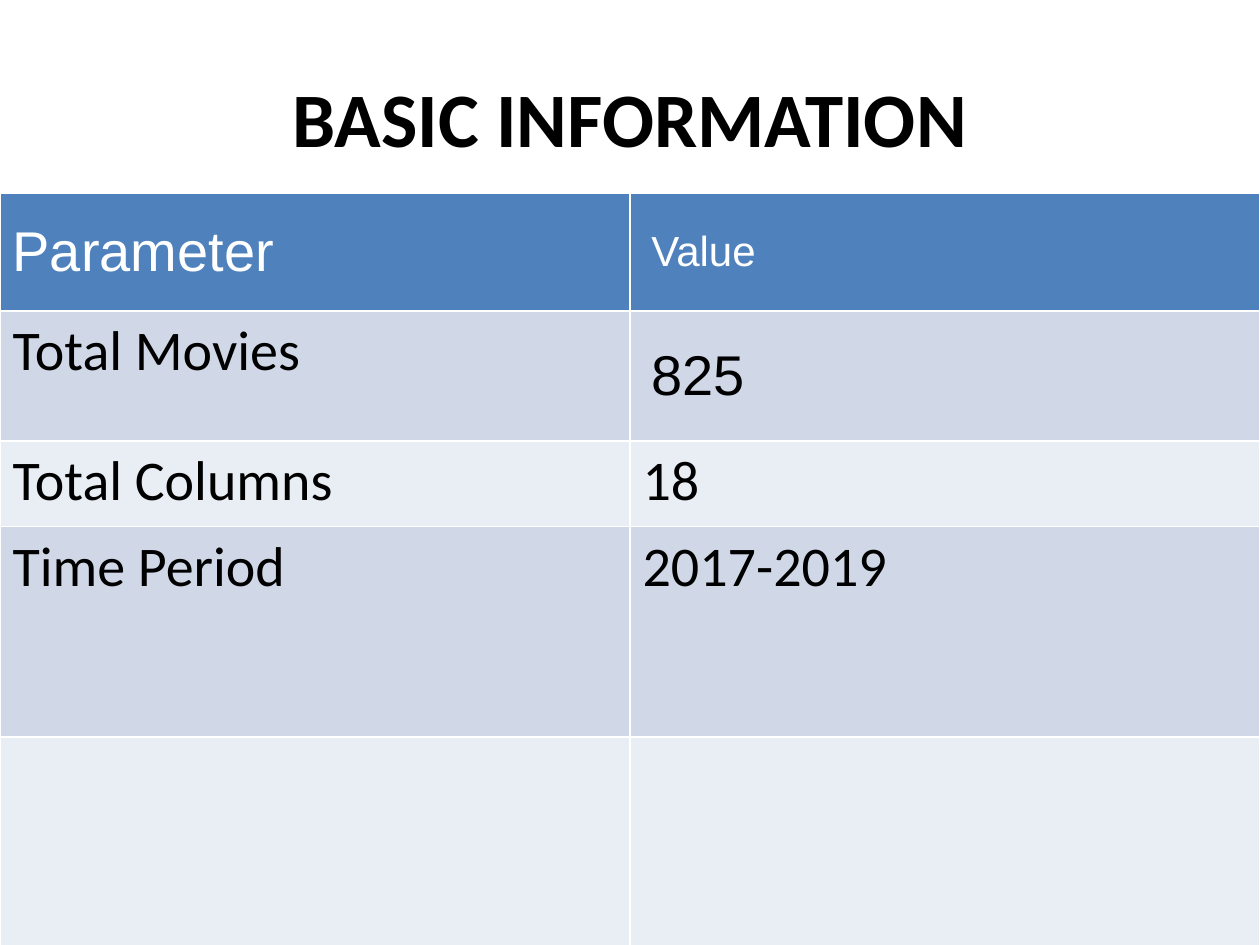
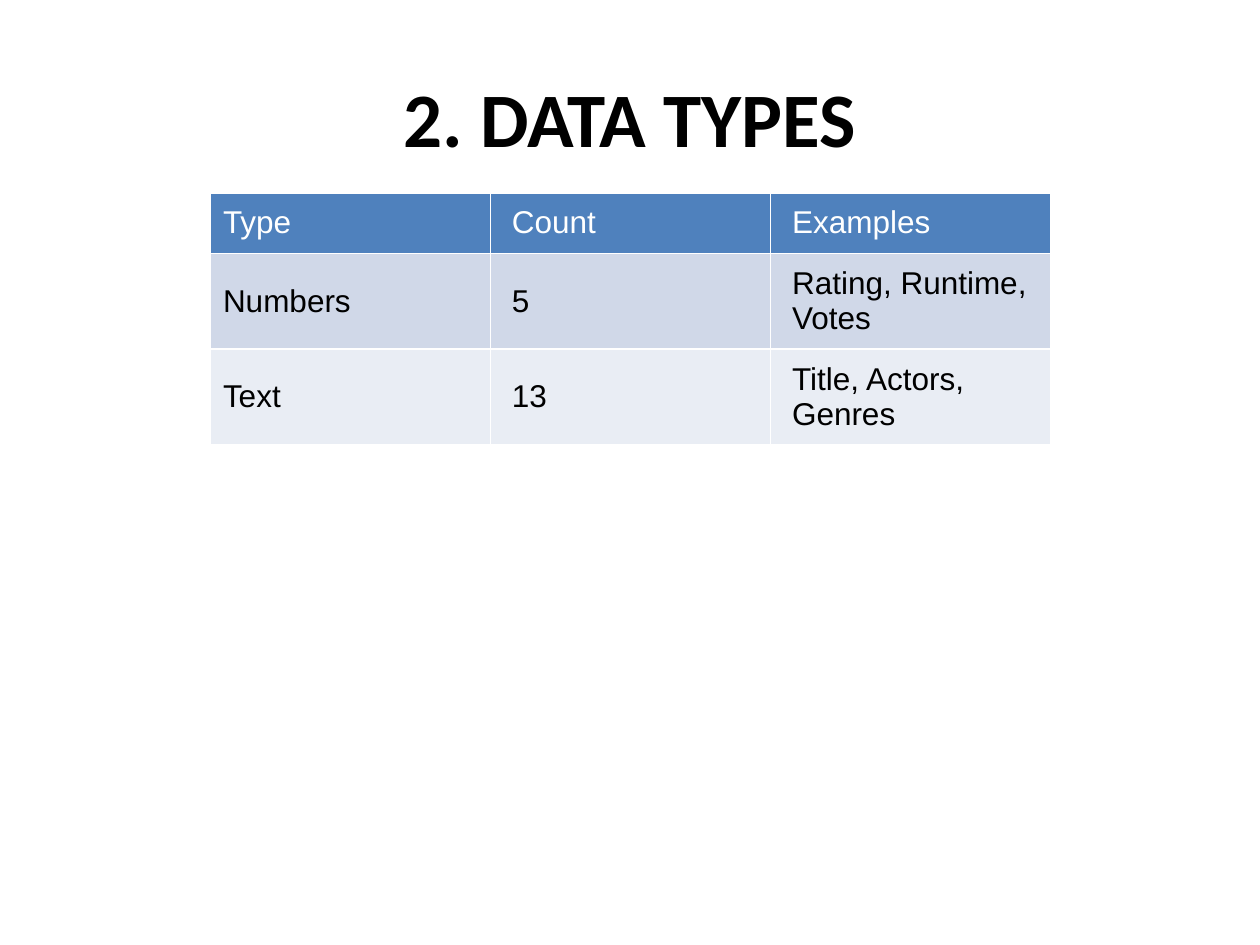
import dataclasses
import pptx
import pptx.dml.color
import pptx.enum.text
import pptx.util

Inches = pptx.util.Inches
HEAD, DARK, PALE = "4F81BD", "D0D8E8", "E9EDF4"
WHITE, BLACK = "FFFFFF", "000000"
TOP = 1.53


@dataclasses.dataclass
class Cell:
    text: str = ""
    size: int = 32
    font: str = "Calibri"


@dataclasses.dataclass
class Grid:
    title: str
    left: float
    width: float
    rows: list[float]
    cells: list[list[Cell]]


def rgb(code: str) -> pptx.dml.color.RGBColor:
    return pptx.dml.color.RGBColor.from_string(code)


def style(frame, size: int, font: str, color: str, bold: bool) -> None:
    for part in frame.paragraphs:
        for run in part.runs:
            run.font.size = pptx.util.Pt(size)
            run.font.name = font
            run.font.bold = bold
            run.font.color.rgb = rgb(color)


def add_title(slide, text: str) -> None:
    title = slide.shapes.title
    title.left, title.top = Inches(0.5), Inches(0.3)
    title.width, title.height = Inches(9), Inches(1.25)
    frame = title.text_frame
    frame.text = text
    frame.vertical_anchor = pptx.enum.text.MSO_ANCHOR.MIDDLE
    frame.paragraphs[0].alignment = pptx.enum.text.PP_ALIGN.CENTER
    style(frame, 44, "Calibri", BLACK, True)


def fill_cell(box, cell: Cell, row: int, col: int, last: int) -> None:
    box.fill.solid()
    box.fill.fore_color.rgb = rgb(HEAD if row == 0 else DARK if row % 2 else PALE)
    if not cell.text:
        return
    box.text_frame.text = cell.text
    style(box.text_frame, cell.size, cell.font, WHITE if row == 0 else BLACK, False)
    # Arial cells are centred vertically, with wider inner margins
    if cell.font == "Arial":
        box.vertical_anchor = pptx.enum.text.MSO_ANCHOR.MIDDLE
        box.margin_top = box.margin_bottom = Inches(0.1)
        box.margin_left = Inches(0.17 if col else 0.1)
        box.margin_right = Inches(0.1 if row and col == last else 0.17)


def add_grid(slide, grid: Grid) -> None:
    count = len(grid.cells[0])
    # The default table style draws the white rules
    table = slide.shapes.add_table(
        len(grid.rows), count, Inches(grid.left), Inches(TOP),
        Inches(grid.width), Inches(sum(grid.rows))).table
    for line, height in zip(table.rows, grid.rows):
        line.height = Inches(height)
    for row, line in enumerate(grid.cells):
        for col, cell in enumerate(line):
            fill_cell(table.cell(row, col), cell, row, col, count - 1)


def arial(*words: str) -> list[Cell]:
    return [Cell(word, 18, "Arial") for word in words]


GRIDS = [
    Grid("BASIC INFORMATION", 0, 10, [0.94, 1.03, 0.68, 1.67, 1.67], [
        [Cell("Parameter", 32, "Arial"), Cell("Value", 24, "Arial")],
        [Cell("Total Movies"), Cell("825", 32, "Arial")],
        [Cell("Total Columns"), Cell("18")],
        [Cell("Time Period"), Cell("2017-2019")],
        [Cell(), Cell()],
    ]),
    Grid("2. DATA TYPES", 1.67, 6.67, [0.41] * 3, [
        arial("Type", "Count", "Examples"),
        arial("Numbers", "5", "Rating, Runtime, Votes"),
        arial("Text", "13", "Title, Actors, Genres"),
    ]),
]


def main() -> None:
    deck = pptx.Presentation()
    deck.slide_width, deck.slide_height = Inches(10), Inches(7.5)
    for grid in GRIDS:
        slide = deck.slides.add_slide(deck.slide_layouts.get_by_name("Title Only"))
        slide.background.fill.solid()
        slide.background.fill.fore_color.rgb = rgb(WHITE)
        add_title(slide, grid.title)
        add_grid(slide, grid)
    deck.save("out.pptx")


if __name__ == "__main__":
    main()
